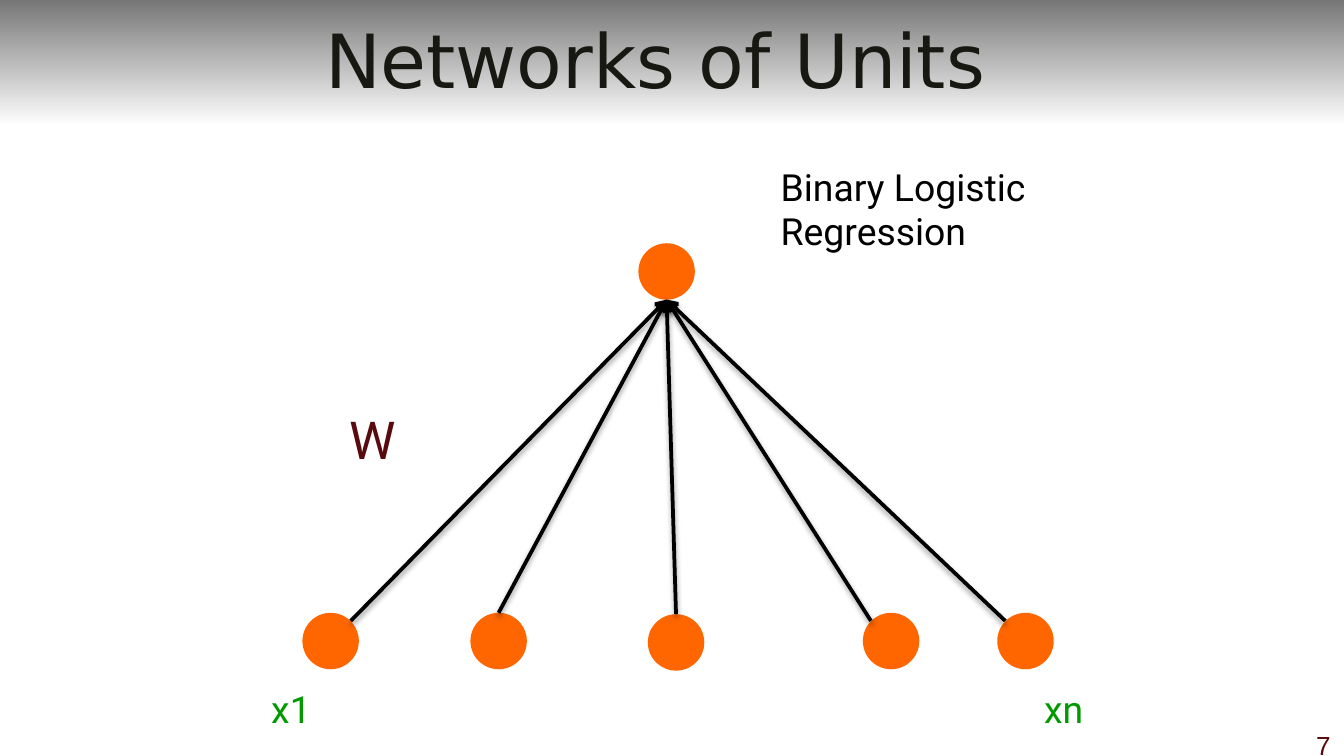
"""Build the slide showing binary logistic regression as a network of units."""
from lxml import etree
from pptx import Presentation, util as u
from pptx.dml import color
from pptx.enum import shapes, text
from pptx.oxml import ns

COLORS = {"band": "777777", "white": "FFFFFF", "title": "181813", "black": "000000",
          "unit": "FF6600", "weight": "590A0E", "input": "009900"}
WIDTH = 10
HEIGHT = WIDTH * 9 / 16
UNIT = 0.42
OUTPUT_UNIT = (4.75, 1.81)
TOP_LEFT, TOP, TOP_RIGHT = (0.06, 0.06), (UNIT / 2, 0), (UNIT - 0.06, 0.06)
INPUT_UNITS = [((2.25, 4.56), TOP_RIGHT), ((3.5, 4.56), TOP), ((4.82, 4.57), TOP),
               ((6.42, 4.56), TOP_LEFT), ((7.42, 4.56), TOP_LEFT)]
TITLE = "Networks of Units"
LABELS = [
    ("Binary Logistic\vRegression", (5.71, 1.17, 3.42, 0.44), {"color_name": "black", "wrap": False}),
    ("W", (2.5, 2.98, 0.5, 0.57), {"color_name": "weight", "size": 28}),
    ("x1", (1.92, 5.06, 0.5, 0.44), {"color_name": "input"}),
    ("xn", (7.67, 5.06, 0.5, 0.44), {"color_name": "input", "wrap": False}),
    ("7", (9.5, 5.38, 0.5, 0.25), {"color_name": "weight", "size": 14, "font": "Arial",
                                   "align": text.PP_ALIGN.RIGHT}),
]


def rgb(name):
    return color.RGBColor.from_string(COLORS[name])


def write(shape, content, color_name, size=20, font="Roboto", align=text.PP_ALIGN.LEFT,
          anchor=text.MSO_ANCHOR.TOP, wrap=True):
    frame = shape.text_frame
    frame.auto_size = text.MSO_AUTO_SIZE.NONE
    frame.word_wrap = wrap
    frame.vertical_anchor = anchor
    frame.text = content
    paragraph = frame.paragraphs[0]
    paragraph.alignment = align
    paragraph.font.name, paragraph.font.size = font, u.Pt(size)
    paragraph.font.color.rgb = rgb(color_name)


def add_unit(slide, left, top):
    unit = slide.shapes.add_shape(shapes.MSO_SHAPE.OVAL, *map(u.Inches, (left, top, UNIT, UNIT)))
    unit.shadow.inherit = False
    unit.fill.solid()
    unit.fill.fore_color.rgb = rgb("unit")
    unit.line.fill.background()


def add_arrow(slide, start, end):
    arrow = slide.shapes.add_connector(shapes.MSO_CONNECTOR.STRAIGHT, *map(u.Inches, start + end))
    arrow.line.width = u.Pt(2)
    arrow.line.color.rgb = rgb("black")
    properties = arrow.element.spPr
    etree.SubElement(properties.find(ns.qn("a:ln")), ns.qn("a:tailEnd"), type="arrow")
    effects = etree.SubElement(properties, ns.qn("a:effectLst"))
    shadow = etree.SubElement(effects, ns.qn("a:outerShdw"), blurRad=str(u.Pt(3.1)),
                              dist=str(u.Pt(1.6)), dir="5400000", rotWithShape="0")
    shade = etree.SubElement(shadow, ns.qn("a:srgbClr"), val=COLORS["black"])
    etree.SubElement(shade, ns.qn("a:alpha"), val="38000")


def add_header(slide):
    title = slide.shapes.title
    title.left, title.top, title.width, title.height = map(u.Inches, (0, 0, 9.75, 0.88))
    write(title, TITLE, "title", size=40, font="DejaVu Sans", align=text.PP_ALIGN.CENTER,
          anchor=text.MSO_ANCHOR.MIDDLE)
    band = slide.shapes.add_shape(shapes.MSO_SHAPE.RECTANGLE, *map(u.Inches, (0, 0, WIDTH, 0.94)))
    band.shadow.inherit = False
    band.line.fill.background()
    band.fill.gradient()
    band.fill.gradient_angle = 270
    for stop, position, name in zip(band.fill.gradient_stops, (0, 1), ("band", "white")):
        stop.position = position
        stop.color.rgb = rgb(name)
    title.element.addprevious(band.element)


def main():
    presentation = Presentation()
    presentation.slide_width, presentation.slide_height = u.Inches(WIDTH), u.Inches(HEIGHT)
    slide = presentation.slides.add_slide(presentation.slide_layouts[5])
    add_header(slide)
    add_unit(slide, *OUTPUT_UNIT)
    target = (OUTPUT_UNIT[0] + UNIT / 2, OUTPUT_UNIT[1] + UNIT)
    for (left, top), (across, down) in INPUT_UNITS:
        add_unit(slide, left, top)
        add_arrow(slide, (left + across, top + down), target)
    for content, box, style in LABELS:
        write(slide.shapes.add_textbox(*map(u.Inches, box)), content, **style)
    presentation.save("out.pptx")


if __name__ == "__main__":
    main()
